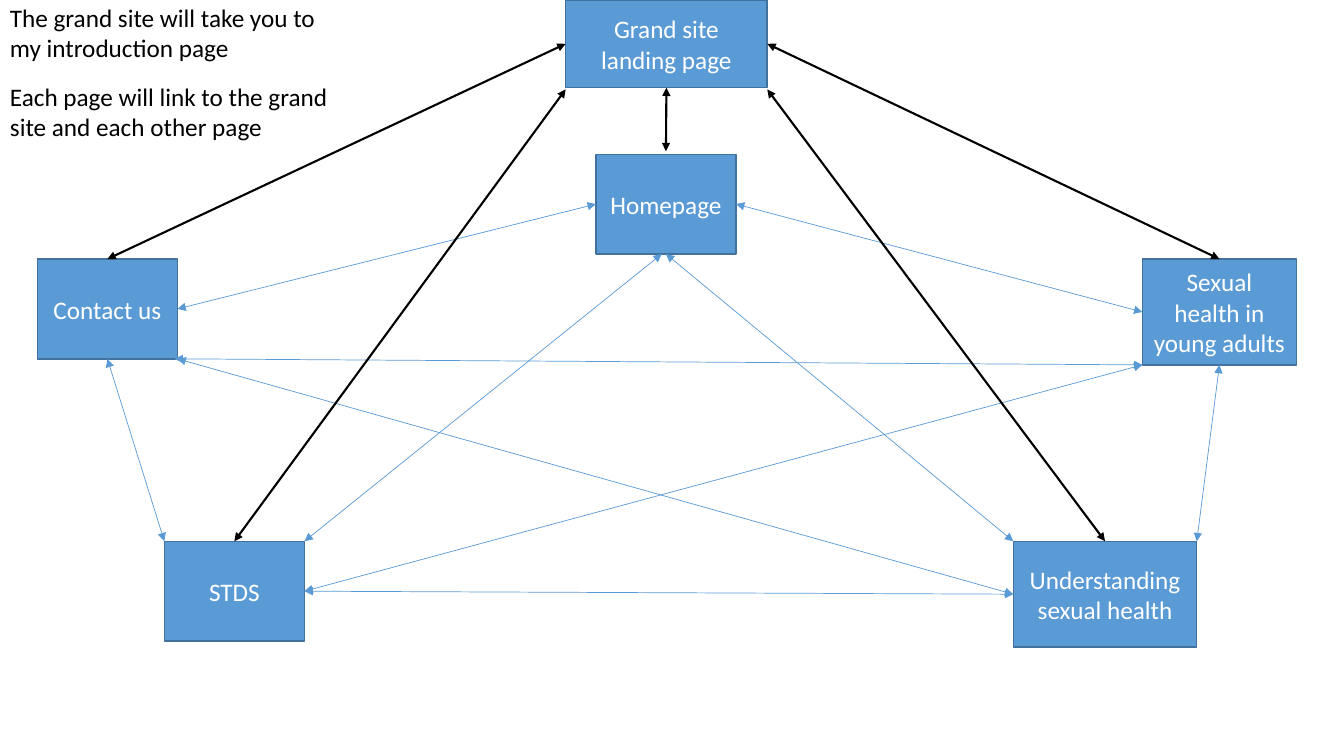
from dataclasses import dataclass

from lxml import etree
from pptx import Presentation
from pptx.dml.color import RGBColor
from pptx.enum.shapes import MSO_CONNECTOR, MSO_SHAPE
from pptx.enum.text import MSO_ANCHOR, PP_ALIGN
from pptx.oxml.ns import qn
from pptx.slide import Slide
from pptx.text.text import TextFrame
from pptx.util import Inches, Pt

RECTANGLE = MSO_SHAPE.RECTANGLE
STRAIGHT = MSO_CONNECTOR.STRAIGHT
MIDDLE = MSO_ANCHOR.MIDDLE
CENTER = PP_ALIGN.CENTER
LEFT = PP_ALIGN.LEFT

FONT = "Calibri"
TEXT_SIZE = 18
BLUE, DARK_BLUE, BLACK, WHITE = "5B9BD5", "41719C", "000000", "FFFFFF"


@dataclass(frozen=True)
class Page:
    title: str
    left: float
    top: float
    width: float = 1.39
    height: float = 0.99

    def at(self, across: float, down: float) -> tuple[float, float]:
        """Point at the given fractions of the box's width and height."""
        return self.left + across * self.width, self.top + down * self.height


@dataclass(frozen=True)
class Link:
    start: tuple[float, float]
    end: tuple[float, float]
    color: str = BLUE
    weight: float = 0.5


@dataclass(frozen=True)
class Note:
    text: str
    top: float


LANDING = Page("Grand site landing page", 5.61, 0, 2, 0.87)
HOME = Page("Homepage", 5.91, 1.53)
UNDERSTANDING = Page("Understanding sexual health", 10.05, 5.37, 1.82, 1.05)
YOUNG_ADULTS = Page("Sexual health in young adults", 11.33, 2.57, 1.53, 1.05)
CONTACT = Page("Contact us", 0.37, 2.57)
STDS = Page("STDS", 1.63, 5.37)
PAGES = [LANDING, HOME, UNDERSTANDING, YOUNG_ADULTS, CONTACT, STDS]

PAGE_LINKS = [
    Link(HOME.at(0.5, 1), UNDERSTANDING.at(0, 0)),
    Link(HOME.at(0.47, 1), STDS.at(1, 0)),
    Link(STDS.at(1, 0.5), UNDERSTANDING.at(0, 0.5)),
    Link(YOUNG_ADULTS.at(0.5, 1), UNDERSTANDING.at(1, 0)),
    Link(HOME.at(0, 0.5), CONTACT.at(1, 0.5)),
    Link(HOME.at(1, 0.5), YOUNG_ADULTS.at(0, 0.5)),
    Link(CONTACT.at(0.5, 1), STDS.at(0, 0)),
    Link(CONTACT.at(1, 1), UNDERSTANDING.at(0, 0.5)),
    Link(YOUNG_ADULTS.at(0, 1), CONTACT.at(0.98, 1)),
    Link(YOUNG_ADULTS.at(0, 1), STDS.at(1, 0.5)),
]
LANDING_LINKS = [
    Link(start, end, BLACK, 1.5)
    for start, end in [
        (LANDING.at(0.5, 1), HOME.at(0.5, -0.03)),
        (YOUNG_ADULTS.at(0.5, 0), LANDING.at(1, 0.5)),
        (UNDERSTANDING.at(0.5, 0), LANDING.at(1, 1.02)),
        (STDS.at(0.5, 0), LANDING.at(0, 1.02)),
        (CONTACT.at(0.5, 0), LANDING.at(0, 0.5)),
    ]
]
NOTES = [
    Note("The grand site will take you to my introduction page", -0.03),
    Note("Each page will link to the grand site and each other page", 0.76),
]


def rgb(color: str) -> RGBColor:
    return RGBColor.from_string(color)


def write(frame: TextFrame, text: str, color: str, alignment: PP_ALIGN) -> None:
    frame.word_wrap = True
    frame.text = text
    paragraph = frame.paragraphs[0]
    paragraph.alignment = alignment
    paragraph.font.name = FONT
    paragraph.font.size = Pt(TEXT_SIZE)
    paragraph.font.color.rgb = rgb(color)


def draw_page(slide: Slide, page: Page) -> None:
    box = slide.shapes.add_shape(
        RECTANGLE, Inches(page.left), Inches(page.top),
        Inches(page.width), Inches(page.height))
    box.shadow.inherit = False
    box.fill.solid()
    box.fill.fore_color.rgb = rgb(BLUE)
    box.line.color.rgb = rgb(DARK_BLUE)
    box.line.width = Pt(1)
    box.text_frame.vertical_anchor = MIDDLE
    write(box.text_frame, page.title, WHITE, CENTER)


def draw_link(slide: Slide, link: Link) -> None:
    """Draw a shadowless line with an arrowhead at both ends."""
    ends = [Inches(value) for value in (*link.start, *link.end)]
    arrow = slide.shapes.add_connector(STRAIGHT, *ends)
    arrow.line.color.rgb = rgb(link.color)
    arrow.line.width = Pt(link.weight)
    properties = arrow.element.spPr
    outline = properties.find(qn("a:ln"))
    for tag in ("a:headEnd", "a:tailEnd"):
        etree.SubElement(outline, qn(tag), type="triangle")
    etree.SubElement(properties, qn("a:effectLst"))


def draw_note(slide: Slide, note: Note) -> None:
    box = slide.shapes.add_textbox(
        0, Inches(note.top), Inches(3.41), Inches(0.71))
    write(box.text_frame, note.text, BLACK, LEFT)


def main() -> None:
    presentation = Presentation()
    presentation.slide_width = Inches(13.33)
    presentation.slide_height = Inches(7.5)
    slide = presentation.slides.add_slide(presentation.slide_layouts[6])
    for page in PAGES:
        draw_page(slide, page)
    for link in PAGE_LINKS + LANDING_LINKS:
        draw_link(slide, link)
    for note in NOTES:
        draw_note(slide, note)
    presentation.save("out.pptx")


if __name__ == "__main__":
    main()
